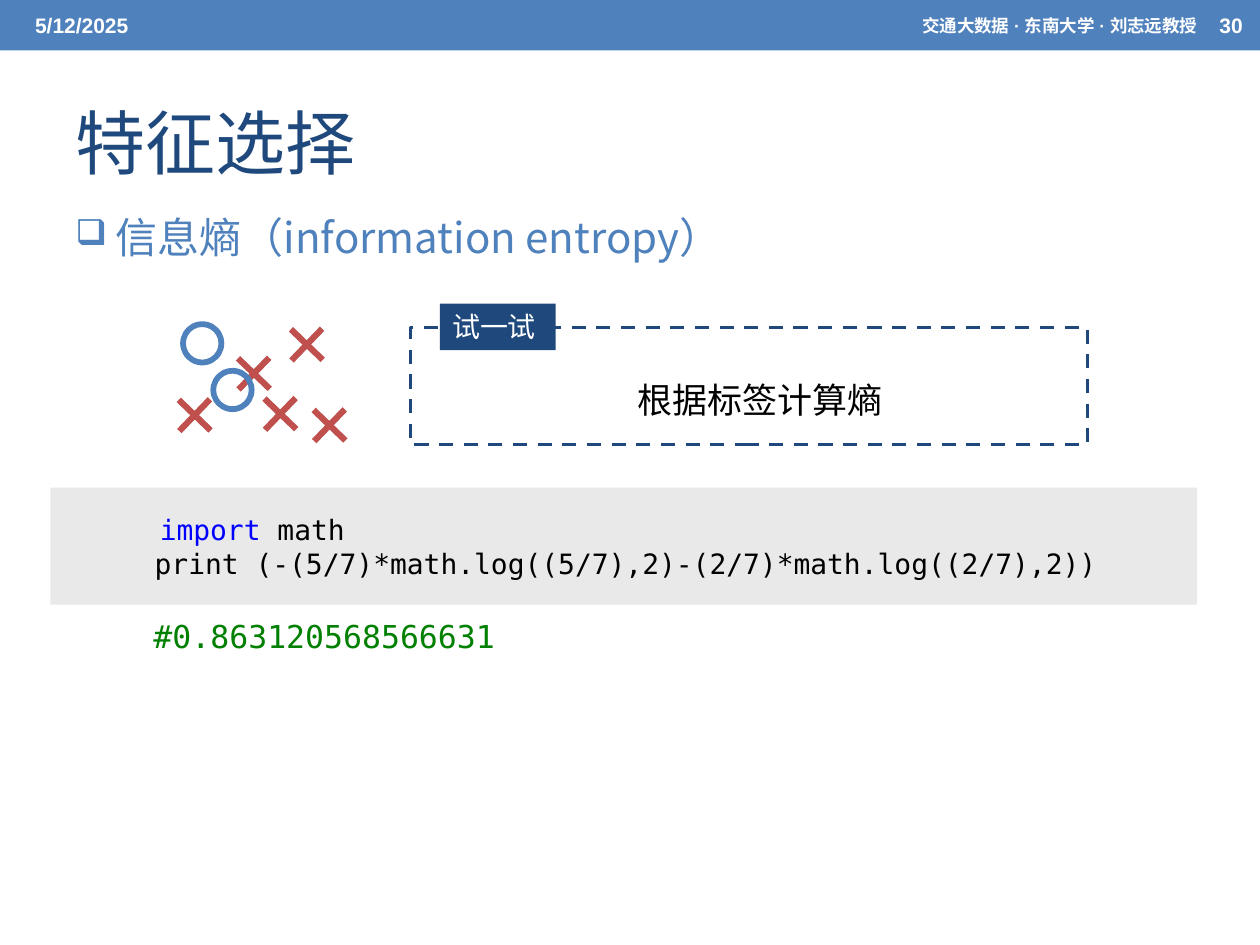
"""Build the information entropy slide with its example and code block."""
from typing import NamedTuple

from pptx import Presentation
from pptx.dml.color import RGBColor
from pptx.enum import dml, shapes, text
from pptx.oxml import ns
from pptx.util import Inches, Pt
from lxml import etree

NAVY = RGBColor(0x1F, 0x49, 0x7D)
BLUE = RGBColor(0x4F, 0x81, 0xBD)
RED = RGBColor(0xC0, 0x50, 0x4D)
GREY = RGBColor(0xBF, 0xBF, 0xBF)
KEYWORD = RGBColor(0x00, 0x00, 0xFF)
GREEN = RGBColor(0x00, 0x80, 0x00)
BLACK = RGBColor(0x00, 0x00, 0x00)
WHITE = RGBColor(0xFF, 0xFF, 0xFF)
SANS, CJK, MONO = "Arial", "Noto Sans CJK SC", "DejaVu Sans Mono"
RECT = shapes.MSO_SHAPE.RECTANGLE
MARK_SIZE = 0.35


class Box(NamedTuple):
    left: float
    top: float
    width: float
    height: float


class Marker(NamedTuple):
    kind: shapes.MSO_SHAPE
    adjustment: float
    rotation: float
    color: RGBColor
    places: tuple


class Header(NamedTuple):
    words: str
    box: Box
    size: int
    align: text.PP_ALIGN


MARKERS = (
    Marker(shapes.MSO_SHAPE.CROSS, 0.43, 43.9, RED,
           ((1.37, 3.12), (1.84, 2.79), (2.44, 3.2), (2.05, 3.11), (2.26, 2.56))),
    Marker(shapes.MSO_SHAPE.DONUT, 0.13, 0, BLUE, ((1.67, 2.92), (1.43, 2.55))),
)
HEADERS = (
    Header("5/12/2025", Box(0.18, 0.02, 3.17, 0.36), 12, text.PP_ALIGN.LEFT),
    Header("交通大数据 · 东南大学 · 刘志远教授", Box(4.32, 0.02, 5.28, 0.36), 10,
           text.PP_ALIGN.RIGHT),
    Header("30", Box(9.58, 0.02, 0.42, 0.36), 12, text.PP_ALIGN.LEFT),
)


def add_shape(parent, kind, box: Box, fill=None):
    sp = parent.add_shape(kind, *map(Inches, box))
    sp.shadow.inherit = False
    sp.line.fill.background()
    if fill is None:
        sp.fill.background()
    else:
        sp.fill.solid()
        sp.fill.fore_color.rgb = fill
    return sp


def add_marker(parent, marker: Marker) -> None:
    for left, top in marker.places:
        sp = add_shape(parent, marker.kind, Box(left, top, MARK_SIZE, MARK_SIZE),
                       marker.color)
        sp.adjustments[0] = marker.adjustment
        sp.rotation = marker.rotation


def write(p, words, *, size, color, font=CJK, bold=False,
          align=text.PP_ALIGN.LEFT, spacing=1.0, indent=0.0, bullet=None):
    p.alignment = align
    p.line_spacing = spacing
    pPr = p._p.get_or_add_pPr()
    pPr.set("marL", str(Inches(indent)))
    pPr.set("indent", str(-Inches(indent) if bullet else 0))
    if bullet:
        clr = etree.SubElement(pPr, ns.qn("a:buClr"))
        etree.SubElement(clr, ns.qn("a:srgbClr"), val=str(color))
        etree.SubElement(pPr, ns.qn("a:buSzPct"), val="85000")
        etree.SubElement(pPr, ns.qn("a:buChar"), char=bullet)
    r = p.add_run()
    r.text = words
    r.font.size, r.font.name, r.font.bold = Pt(size), font, bold
    r.font.color.rgb = color
    etree.SubElement(r._r.get_or_add_rPr(), ns.qn("a:ea"), typeface=font)


def add_text(parent, box: Box, anchor=text.MSO_ANCHOR.TOP):
    tf = parent.add_textbox(*map(Inches, box)).text_frame
    tf.word_wrap = True
    tf.vertical_anchor = anchor
    return tf


def add_code(parent) -> None:
    panel = add_shape(parent, RECT, Box(0.4, 3.87, 9.1, 0.93), GREY)
    color = panel._element.spPr.find(ns.qn("a:solidFill"))[0]
    etree.SubElement(color, ns.qn("a:alpha"), val="34000")
    tf = add_text(parent, Box(0.63, 4.02, 8.63, 0.64))
    p = tf.paragraphs[0]
    write(p, "import", size=16, color=KEYWORD, font=MONO, indent=0.54)
    write(p, " math", size=16, color=BLACK, font=MONO, indent=0.54)
    write(tf.add_paragraph(), "print (-(5/7)*math.log((5/7),2)-(2/7)*math.log((2/7),2))",
          size=16, color=BLACK, font=MONO, indent=0.5)
    tf = add_text(parent, Box(1.12, 4.85, 5, 0.4))
    write(tf.paragraphs[0], "#0.863120568566631", size=18, color=GREEN, font=MONO)


def add_exercise(parent) -> None:
    frame = add_shape(parent, RECT, Box(3.26, 2.6, 5.37, 0.93))
    frame.line.color.rgb = NAVY
    frame.line.width = Pt(2)
    frame.line.dash_style = dml.MSO_LINE.DASH
    label = add_shape(parent, RECT, Box(3.49, 2.41, 0.92, 0.37), NAVY)
    tf = label.text_frame
    tf.vertical_anchor = text.MSO_ANCHOR.TOP
    write(tf.paragraphs[0], "试一试", size=16, color=WHITE)
    tf = add_text(parent, Box(4.96, 2.79, 2.33, 0.61))
    write(tf.paragraphs[0], "根据标签计算熵", size=20, color=BLACK, spacing=1.5)


def main() -> None:
    prs = Presentation()
    prs.slide_width, prs.slide_height = Inches(10), Inches(7.5)
    s = prs.slides.add_slide(prs.slide_layouts[6])
    middle = text.MSO_ANCHOR.MIDDLE
    add_shape(s.shapes, RECT, Box(0, 0, 10, 0.4), BLUE)
    for header in HEADERS:
        tf = add_text(s.shapes, header.box, middle)
        write(tf.paragraphs[0], header.words, size=header.size, color=WHITE,
              font=SANS, bold=True, align=header.align)
    tf = add_text(s.shapes, Box(0.5, 0.58, 9, 1.08), middle)
    write(tf.paragraphs[0], "特征选择", size=40, color=NAVY)
    tf = add_text(s.shapes, Box(0.5, 1.43, 7.97, 0.71))
    write(tf.paragraphs[0], "信息熵（information entropy）", size=24, color=BLUE,
          spacing=1.5, indent=0.32, bullet="❑")
    markers = s.shapes.add_group_shape()
    for marker in MARKERS:
        add_marker(markers.shapes, marker)
    add_exercise(s.shapes.add_group_shape().shapes)
    add_code(s.shapes)
    prs.save("out.pptx")


if __name__ == "__main__":
    main()
